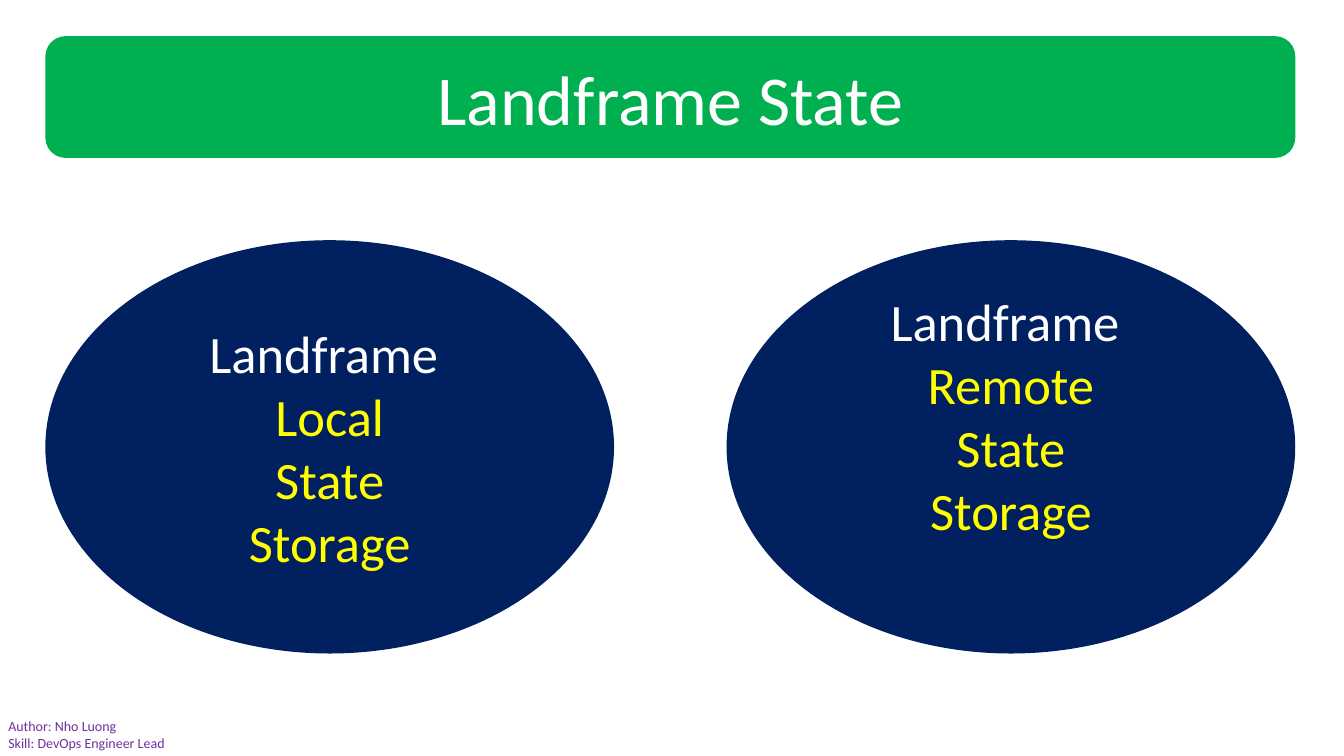
from dataclasses import dataclass

from pptx import Presentation
from pptx.dml.color import RGBColor
from pptx.enum.shapes import MSO_SHAPE
from pptx.enum.text import MSO_ANCHOR, PP_ALIGN
from pptx.slide import Slide
from pptx.text.text import TextFrame
from pptx.util import Inches, Pt

WHITE = RGBColor(0xFF, 0xFF, 0xFF)
YELLOW = RGBColor(0xFF, 0xFF, 0x00)
NAVY = RGBColor(0x00, 0x20, 0x60)
GREEN = RGBColor(0x00, 0xB0, 0x50)
PURPLE = RGBColor(0x70, 0x30, 0xA0)
FONT = "Calibri"
TOOL = "Landframe"


@dataclass
class Line:
    text: str
    color: RGBColor


@dataclass
class Panel:
    kind: MSO_SHAPE
    box: tuple[float, float, float, float]
    fill: RGBColor
    size: int
    lines: list[Line]
    bottom_inset: float = 0.05


def write_lines(tf: TextFrame, lines: list[Line], size: int, align: PP_ALIGN) -> None:
    tf.word_wrap = True
    for i, line in enumerate(lines):
        p = tf.paragraphs[0] if i == 0 else tf.add_paragraph()
        p.alignment = align
        r = p.add_run()
        r.text = line.text
        r.font.name = FONT
        r.font.size = Pt(size)
        r.font.color.rgb = line.color


def draw_panel(s: Slide, panel: Panel) -> None:
    sp = s.shapes.add_shape(panel.kind, *map(Inches, panel.box))
    sp.shadow.inherit = False
    sp.fill.solid()
    sp.fill.fore_color.rgb = panel.fill
    sp.line.fill.background()
    tf = sp.text_frame
    tf.vertical_anchor = MSO_ANCHOR.MIDDLE
    tf.margin_bottom = Inches(panel.bottom_inset)
    write_lines(tf, panel.lines, panel.size, PP_ALIGN.CENTER)


def storage_panel(left: float, place: str, bottom_inset: float) -> Panel:
    lines = [Line(f"{TOOL} ", WHITE)]
    lines += [Line(word, YELLOW) for word in (place, "State", "Storage")]
    return Panel(MSO_SHAPE.OVAL, (left, 2.86, 6.77, 4.92), NAVY, 45, lines, bottom_inset)


def main() -> None:
    prs = Presentation()
    prs.slide_width, prs.slide_height = Inches(16), Inches(9)
    s = prs.slides.add_slide(prs.slide_layouts[6])

    # Storage ellipses and title bar; the remote text sits higher
    panels = [
        storage_panel(0.54, "Local", 0.05),
        storage_panel(8.65, "Remote", 0.8),
        Panel(MSO_SHAPE.ROUNDED_RECTANGLE, (0.54, 0.43, 14.88, 1.45), GREEN, 60,
              [Line(f"{TOOL} State", WHITE)]),
    ]
    for panel in panels:
        draw_panel(s, panel)

    # Author note
    note = s.shapes.add_textbox(Inches(0), Inches(8.49), Inches(2.51), Inches(0.5))
    credits = ["Author: Nho Luong", "Skill: DevOps Engineer Lead"]
    write_lines(note.text_frame, [Line(t, PURPLE) for t in credits], 12, PP_ALIGN.LEFT)

    prs.save("out.pptx")


if __name__ == "__main__":
    main()
